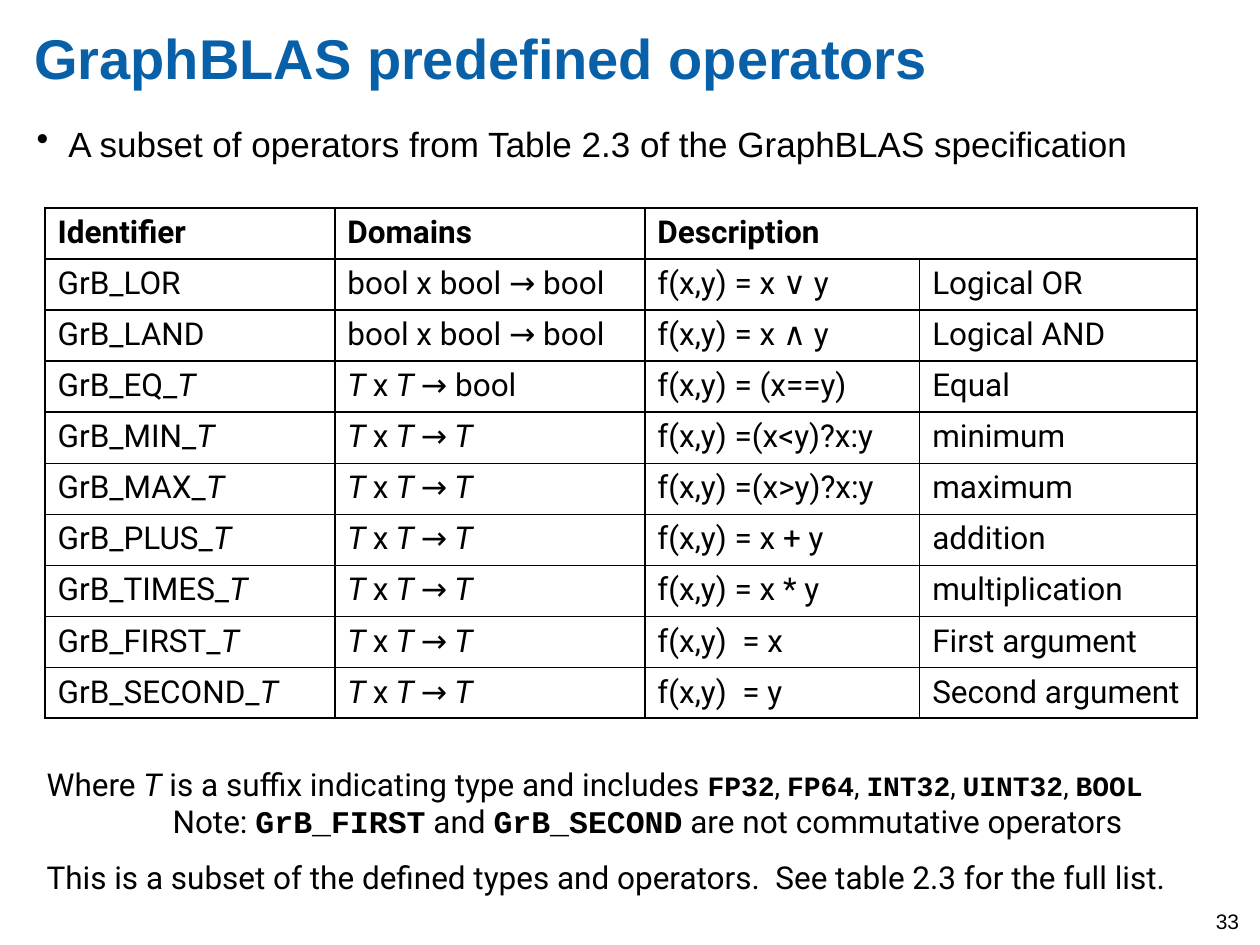
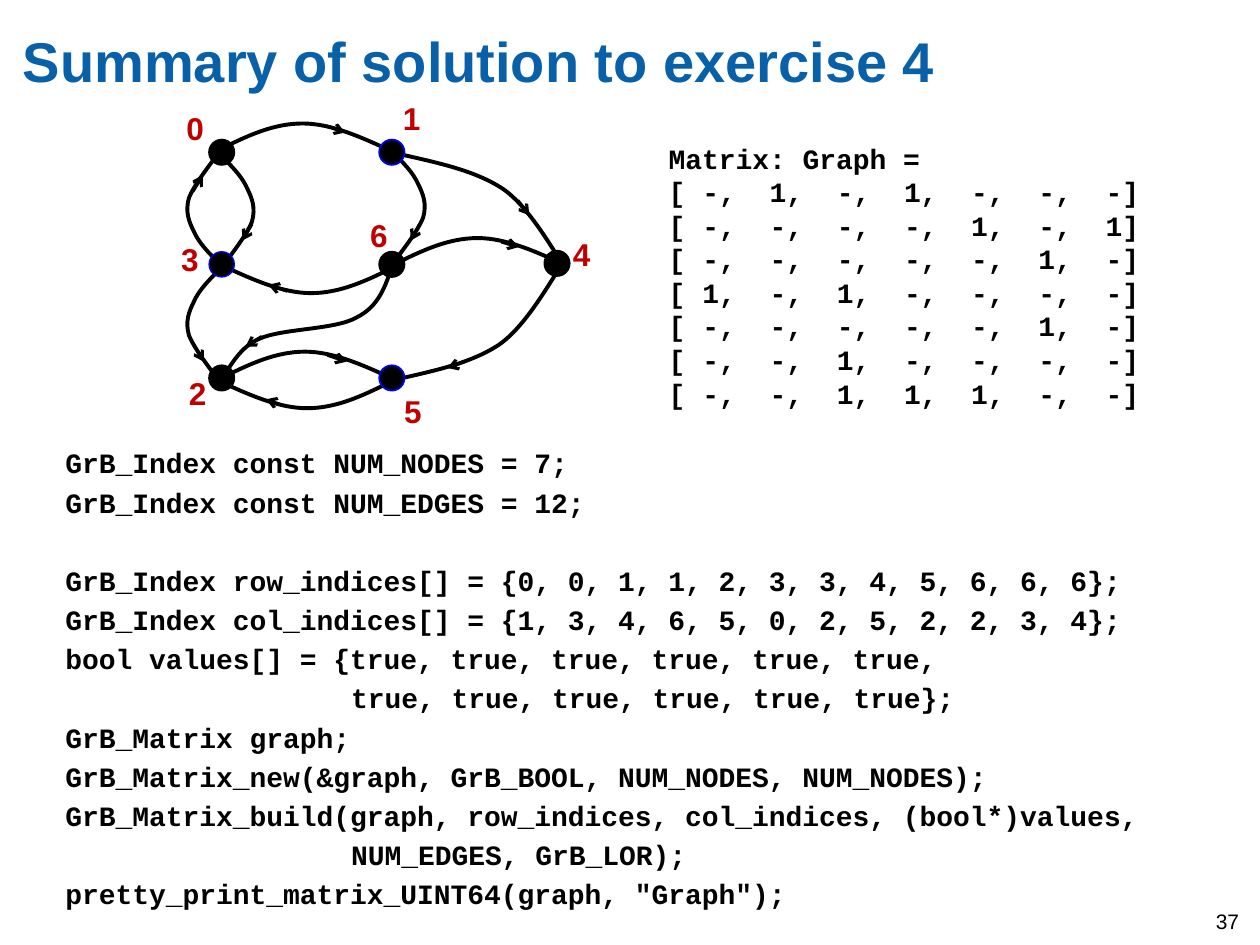
from lxml import etree
from pptx import Presentation
from pptx.dml import color
from pptx.enum import shapes
from pptx.oxml import ns
from pptx.util import Cm, Pt

BLUE = color.RGBColor(0x08, 0x60, 0xA8)
BLACK = color.RGBColor(0, 0, 0)
RED = color.RGBColor(0xC0, 0, 0)
RIM = color.RGBColor(0, 0, 0xFF)
SANS, MONO, BODY = "Arial", "Courier New", "Roboto"


def box(page, x, y, w, h, pad=True, wrap=True):
    frame = page.shapes.add_textbox(Cm(x), Cm(y), Cm(w), Cm(h)).text_frame
    frame.word_wrap = wrap
    if not pad:
        frame.margin_left = frame.margin_right = 0
        frame.margin_top = frame.margin_bottom = 0
    return frame


def add(par, words, size, face, bold=False, ital=False, tint=BLACK):
    run = par.add_run()
    run.text = words
    font = run.font
    font.size, font.name = Pt(size), face
    font.bold, font.italic = bold, ital
    font.color.rgb = tint


deck = Presentation()
deck.slide_width, deck.slide_height = Cm(25.4), Cm(19.05)
pages = []
for title, x, y, num in [
    ("GraphBLAS predefined operators", 0.69, 0.48, "33"),
    ("Summary of solution to exercise 4", 0.46, 0.53, "37"),
]:
    page = deck.slides.add_slide(deck.slide_layouts[6])
    head = box(page, x, y, 22.89, 2.46, pad=False)
    add(head.paragraphs[0], title, 32, SANS, bold=True, tint=BLUE)
    foot = box(page, 24.26, 18.19, 1.14, 0.84)
    add(foot.paragraphs[0], num, 12, SANS)
    pages.append(page)
ops, graph = pages

par = box(ops, 0.74, 2.46, 22.89, 1.3, pad=False).paragraphs[0]
par.space_before = Pt(4)
props = par._p.get_or_add_pPr()
props.set("marL", str(Cm(0.64)))
props.set("indent", str(-Cm(0.64)))
etree.SubElement(props, ns.qn("a:buChar")).set("char", "•")
add(par, "A subset of operators from Table 2.3 of the GraphBLAS specification", 20, SANS)

BOOL = "bool x bool → bool"
SAME = "|T |x| T |→| T"
rows = [
    ("Identifier", "Domains", "Description", ""),
    ("GrB_LOR", BOOL, "f(x,y) = x ∨ y", "Logical OR"),
    ("GrB_LAND", BOOL, "f(x,y) = x ∧ y", "Logical AND"),
    ("GrB_EQ_|T", "|T |x| T |→ bool", "f(x,y) = (x==y)", "Equal"),
    ("GrB_MIN_|T", SAME, "f(x,y) =(x<y)?x:y", "minimum"),
    ("GrB_MAX_|T", SAME, "f(x,y) =(x>y)?x:y", "maximum"),
    ("GrB_PLUS_|T", SAME, "f(x,y) = x + y", "addition"),
    ("GrB_TIMES_|T", SAME, "f(x,y) = x * y", "multiplication"),
    ("GrB_FIRST_|T", SAME, "f(x,y)  = x", "First argument"),
    ("GrB_SECOND_|T", SAME, "f(x,y)  = y", "Second argument"),
]
grid = ops.shapes.add_table(len(rows), 4, Cm(0.91), Cm(4.19), Cm(23.22), Cm(10.29)).table
grid.first_row = grid.horz_banding = False
for col, wide in zip(grid.columns, (5.84, 6.25, 5.54, 5.59)):
    col.width = Cm(wide)
for row in grid.rows:
    row.height = Cm(1.03)
grid.rows[9].height = Cm(0.97)
grid.cell(0, 2).merge(grid.cell(0, 3))
for r, row in enumerate(rows):
    for c, words in enumerate(row):
        cell = grid.cell(r, c)
        props = cell._tc.get_or_add_tcPr()
        for side in "LRTB":
            edge = etree.SubElement(props, ns.qn("a:ln" + side), w=str(Pt(1)))
            fill = etree.SubElement(edge, ns.qn("a:solidFill"))
            etree.SubElement(fill, ns.qn("a:srgbClr"), val=str(BLACK))
        cell.fill.background()
        for n, part in enumerate(words.split("|")):
            if part:
                add(cell.text_frame.paragraphs[0], part, 18, BODY, bold=r == 0, ital=n % 2 == 1)

note = box(ops, 0.69, 15.29, 24.21, 1.8)
par = note.paragraphs[0]
add(par, "Where ", 18, BODY)
add(par, "T", 18, BODY, ital=True)
add(par, " is a suffix indicating type and includes ", 18, BODY)
for n, kind in enumerate(("FP32", "FP64", "INT32", "UINT32", "BOOL")):
    if n:
        add(par, ", ", 16, BODY)
    add(par, kind, 16, MONO, bold=True)
par = note.add_paragraph()
par._p.get_or_add_pPr().set("marL", str(Cm(2.54)))
for n, part in enumerate(
    ("Note: ", "GrB_FIRST", " and ", "GrB_SECOND", " are not commutative operators")
):
    code = n % 2 == 1
    add(par, part, 18, MONO if code else BODY, bold=code)
last = box(ops, 0.69, 17.17, 23.32, 1.02)
add(last.paragraphs[0],
    "This is a subset of the defined types and operators.  See table 2.3 for the full list.",
    18, BODY)

code = box(graph, 1.32, 8.99, 22.89, 9.75, pad=False)
lines = [
    ("GrB_Index const NUM_NODES = 7;", 3.2, 0),
    ("GrB_Index const NUM_EDGES = 12;", 3.2, 0),
    ("GrB_Index row_indices[] = {0, 0, 1, 1, 2, 3, 3, 4, 5, 6, 6, 6};", 25.5, 0),
    ("GrB_Index col_indices[] = {1, 3, 4, 6, 5, 0, 2, 5, 2, 2, 3, 4};", 3.2, 0),
    ("bool values[] = {true, true, true, true, true, true,", 3.2, 0),
    ("true, true, true, true, true, true};", 3.2, 5.76),
    ("GrB_Matrix graph;", 3.2, 0),
    ("GrB_Matrix_new(&graph, GrB_BOOL, NUM_NODES, NUM_NODES);", 3.2, 0),
    ("GrB_Matrix_build(graph, row_indices, col_indices, (bool*)values,", 3.2, 0),
    ("NUM_EDGES, GrB_LOR);", 3.2, 5.76),
    ('pretty_print_matrix_UINT64(graph, "Graph");', 3.2, 0),
]
for n, (words, gap, dent) in enumerate(lines):
    par = code.add_paragraph() if n else code.paragraphs[0]
    par.space_before = Pt(gap)
    par._p.get_or_add_pPr().set("marL", str(Cm(dent)))
    add(par, words, 16, MONO, bold=True)

mat = box(graph, 13.23, 2.72, 10.26, 5.74)
add(mat.paragraphs[0], "Matrix: Graph =", 16, MONO, bold=True)
for row in ("-1-1---", "----1-1", "-----1-", "1-1----", "-----1-", "--1----", "--111--"):
    par = mat.add_paragraph()
    tabs = etree.SubElement(par._p.get_or_add_pPr(), ns.qn("a:tabLst"))
    for n in range(7):
        etree.SubElement(tabs, ns.qn("a:tab"), pos=str(Cm(0.68 + 1.355 * n)), algn="l")
    add(par, "[\t" + ",\t".join(row) + "]", 16, MONO, bold=True)

BOW = [(0, 0), (0.2, 0.2), (0.41, 0.41), (0.51, 0.64), (0.61, 0.84),
       (0.69, 1.04), (0.61, 1.32), (0.51, 1.57), (0.25, 1.91), (0, 2.24)]
ARC = [(0, 0), (0.56, -0.28), (1.09, -0.53), (1.68, -0.53),
       (2.26, -0.53), (2.87, -0.25), (3.48, 0.03)]
SWEEP = [(0, 0), (-0.2, 0.28), (-0.69, 1.19), (-1.24, 1.57),
         (-1.83, 1.96), (-2.62, 2.11), (-3.4, 2.29)]
WAVE = [(0, 0), (0.15, -0.1), (0.3, -0.56), (0.76, -0.76), (1.22, -0.97),
        (2.29, -0.94), (2.72, -1.19), (3.18, -1.42), (3.3, -1.83), (3.45, -2.26)]
edges = [
    (BOW, 4.42, 5.31, -1, -1, (3.89, 3.86, 4.09, 3.53)),
    (BOW, 4.47, 3.15, 1, 1, (5.08, 4.52, 4.88, 4.85)),
    (ARC, 4.42, 3.02, 1, 1, (6.58, 2.54, 6.96, 2.67)),
    (WAVE, 4.47, 7.59, 1, 1, (5.28, 6.78, 4.95, 6.99)),
    (ARC, 7.95, 5.33, 1, 1, (10.11, 4.88, 10.46, 4.98)),
    (ARC, 4.47, 7.62, 1, 1, (6.6, 7.16, 6.99, 7.29)),
    (ARC, 7.87, 7.7, -1, -1, (5.72, 8.18, 5.36, 8.05)),
    (ARC, 7.95, 5.38, -1, -1, (5.79, 5.87, 5.41, 5.74)),
    (BOW, 4.42, 5.44, -1, 1, (3.91, 6.96, 4.11, 7.29)),
    (BOW, 7.92, 3.07, 1, 1, (8.46, 4.52, 8.28, 4.85)),
    (SWEEP, 11.3, 5.38, 1, 1, (9.37, 7.29, 9.02, 7.42)),
    (SWEEP, 11.38, 5.38, 1, -1, (10.44, 4.04, 10.67, 4.34)),
]
for bend, x, y, fx, fy, tip in edges:
    dots = [(Cm(x + fx * dx), Cm(y + fy * dy)) for dx, dy in bend]
    pen = graph.shapes.build_freeform(*dots[0])
    pen.add_line_segments(dots[1:], close=False)
    curve = pen.convert_to_shape()
    curve.shadow.inherit = False
    curve.fill.background()
    curve.line.color.rgb = BLACK
    curve.line.width = Pt(2.25)
    steps = list(curve.element.iter(ns.qn("a:lnTo")))
    for n in range(0, len(steps), 3):
        cubic = etree.Element(ns.qn("a:cubicBezTo"))
        steps[n].addprevious(cubic)
        for step in steps[n:n + 3]:
            cubic.append(step[0])
            step.getparent().remove(step)

    arrow = graph.shapes.add_connector(
        shapes.MSO_CONNECTOR.STRAIGHT, *[Cm(v) for v in tip])
    arrow.line.color.rgb = BLACK
    arrow.line.width = Pt(1.75)
    props = arrow.element.spPr
    etree.SubElement(props.find(ns.qn("a:ln")), ns.qn("a:tailEnd"), type="arrow")
    etree.SubElement(props, ns.qn("a:effectLst"))

nodes = [
    (4.47, 3.07, 3.51, 2.08), (7.9, 3.07, 7.87, 1.88), (4.47, 7.62, 3.56, 7.42),
    (4.47, 5.33, 3.4, 4.72), (11.23, 5.31, 11.3, 4.62), (7.9, 7.62, 7.9, 7.77),
    (7.9, 5.33, 7.21, 4.24),
]
SIZE = 0.51
for n, (x, y, left, top) in enumerate(nodes):
    dot = graph.shapes.add_shape(
        shapes.MSO_SHAPE.OVAL, Cm(x - SIZE / 2), Cm(y - SIZE / 2), Cm(SIZE), Cm(SIZE))
    dot.shadow.inherit = False
    dot.fill.solid()
    dot.fill.fore_color.rgb = BLACK
    dot.line.color.rgb = RIM if n in (1, 3, 5) else BLACK
    dot.line.width = Pt(0.75 if n == 3 else 1)
    label = box(graph, left, top, 0.86, 1.02, wrap=False)
    add(label.paragraphs[0], str(n), 18, SANS, bold=True, tint=RED)

deck.save("out.pptx")
